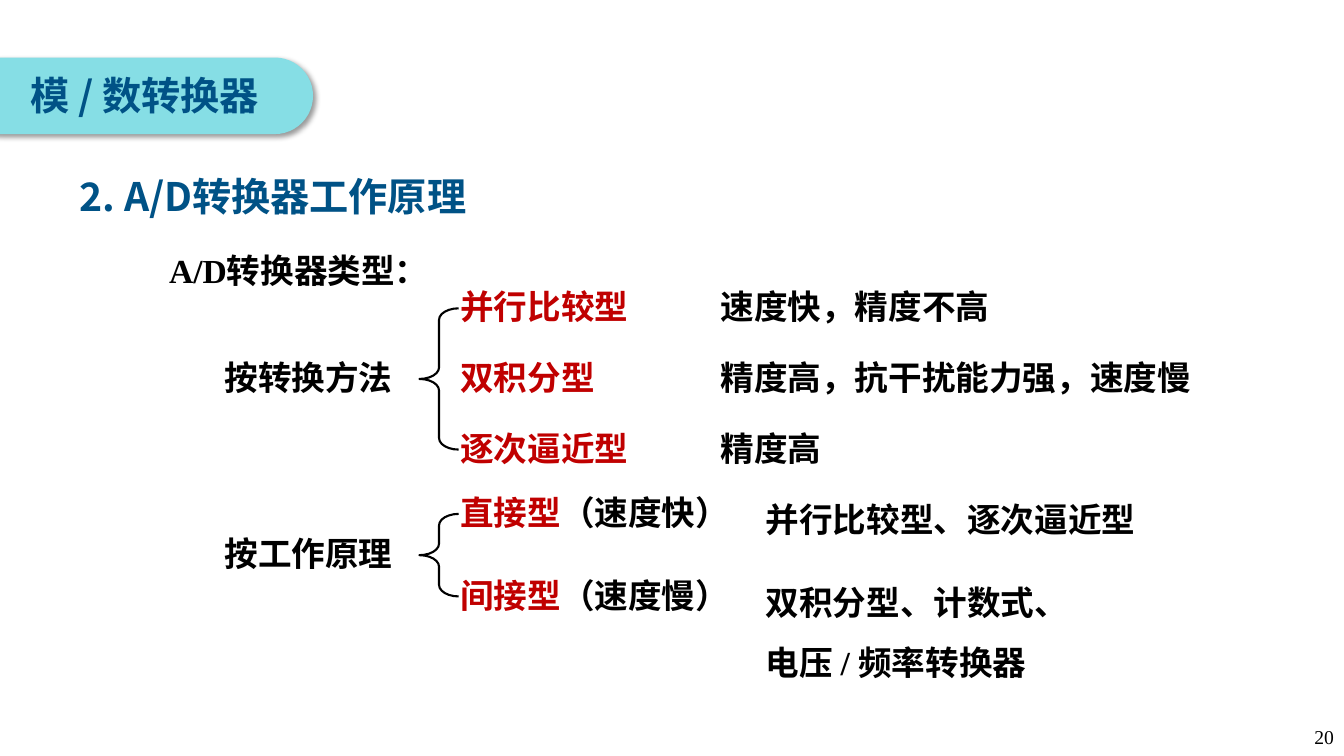
from dataclasses import dataclass
from lxml.etree import SubElement
from pptx import Presentation
from pptx.dml.color import RGBColor as Rgb
from pptx.enum.shapes import MSO_SHAPE as Kind
from pptx.enum.text import MSO_ANCHOR as Anchor, MSO_AUTO_SIZE as Auto, PP_ALIGN as Align
from pptx.oxml.ns import qn
from pptx.util import Cm, Pt


@dataclass(frozen=True)
class Theme:
    """Colours, fonts and type sizes of the slide."""
    aqua: Rgb = Rgb(0x86, 0xDE, 0xE5)
    navy: Rgb = Rgb(0x00, 0x52, 0x86)
    red: Rgb = Rgb(0xC0, 0x00, 0x00)
    black: Rgb = Rgb(0, 0, 0)
    sans: str = "Noto Sans CJK SC"
    serif: str = "Times New Roman"
    head: int = 28
    body: int = 24
    foot: int = 14


look = Theme()


def style(font, name, tone):
    """Set the Latin and East Asian fonts and the colour."""
    font.color.rgb = tone
    font.name = name
    SubElement(font._element, qn("a:ea"), typeface=look.sans)


def fill(shape, runs, size, bold=True, wrap=True, lead=None):
    """Write one paragraph made of (text, font, colour) runs."""
    frame = shape.text_frame
    frame.word_wrap = wrap
    frame.auto_size = Auto.SHAPE_TO_FIT_TEXT
    frame.vertical_anchor = Anchor.TOP
    para = frame.paragraphs[0]
    para.alignment = Align.LEFT
    if lead:
        para.line_spacing = lead
    para.font.size = Pt(size)
    para.font.bold = bold
    for text, name, tone in runs:
        run = para.add_run()
        run.text = text
        if len(runs) > 1:
            style(run.font, name, tone)
    if len(runs) == 1:
        style(para.font, *runs[0][1:])
    return para


def label(slide, box, runs, size=look.body, **opts):
    """Add a text box at the given box."""
    return fill(slide.shapes.add_textbox(*map(Cm, box)), runs, size, **opts)


def width(text):
    """Return the box width that holds the text on one line."""
    return 0.85 * len(text) + 0.51


def banner(slide, x, y):
    """Place the title on its rounded tab."""
    tab = slide.shapes.add_shape(Kind.ROUNDED_RECTANGLE, Cm(x), Cm(y), Cm(8.86), Cm(1.93))
    tab.adjustments[0] = 0.5
    tab.fill.solid()
    tab.fill.fore_color.rgb = look.aqua
    tab.line.fill.background()
    tab.shadow.inherit = False
    glow = SubElement(tab._element.spPr.find(qn("a:effectLst")), qn("a:outerShdw"),
                      blurRad=str(Pt(4)), dist=str(Pt(3)), dir="2700000",
                      algn="tl", rotWithShape="0")
    shade = SubElement(glow, qn("a:srgbClr"), val="000000")
    SubElement(shade, qn("a:alpha"), val="40000")
    slide.shapes._spTree.insert(2, tab._element)
    title = slide.shapes.title
    title.left, title.top = Cm(x + 1.48), Cm(y + 0.23)
    title.width, title.height = Cm(21.62), Cm(1.45)
    fill(title, [("模 / 数转换器", look.sans, look.navy)], look.head)


def group(slide, x, y, step, name, rows, gap, rise=0, lead=None):
    """Draw a named brace with its kinds and their notes."""
    span = step * (len(rows) - 1)
    label(slide, (x, y + span / 2, width(name), 1.27),
          [(name, look.serif, look.black)], wrap=False)
    brace = slide.shapes.add_shape(Kind.LEFT_BRACE, Cm(x + 5.16), Cm(y + 0.68),
                                   Cm(0.99), Cm(span))
    brace.adjustments[0] = 0.294
    brace.fill.background()
    brace.line.color.rgb = look.black
    brace.line.width = Pt(1.5)
    brace.shadow.inherit = False
    for i, (kind, tail, note, wide) in enumerate(rows):
        top = y + i * step
        runs = [(kind, look.sans, look.red)]
        if tail:
            runs.append((tail, look.serif, look.black))
        label(slide, (x + 5.94, top, 8.41, 1.27), runs)
        label(slide, (x + gap, top - rise, wide or width(note), 1.27),
              [(note, look.serif, look.black)], wrap=bool(wide), lead=lead)


def number(slide, x, y):
    """Place the page number."""
    para = label(slide, (x, y, 7.62, 1.02), [("20", look.serif, look.black)],
                 look.foot, bold=False)
    para.alignment = Align.RIGHT


def main():
    """Build and save the slide."""
    deck = Presentation()
    deck.slide_width, deck.slide_height = Cm(33.87), Cm(19.05)
    slide = deck.slides.add_slide(deck.slide_layouts[5])
    banner(slide, -0.97, 1.45)
    label(slide, (1.75, 4.22, 18.85, 1.45),
          [("2. A/D转换器工作原理", look.sans, look.navy)], look.head)
    label(slide, (4.01, 5.66, 7.14, 1.6),
          [("A/D转换器类型：", look.serif, look.black)], wrap=False, lead=1.5)
    group(slide, 5.41, 7.09, 1.78, "按转换方法", [
        ("并行比较型", "", "速度快，精度不高", 0),
        ("双积分型", "", "精度高，抗干扰能力强，速度慢", 0),
        ("逐次逼近型", "", "精度高", 0),
    ], 12.5)
    group(slide, 5.41, 12.27, 2.08, "按工作原理", [
        ("直接型", "（速度快）", "并行比较型、逐次逼近型", 0),
        ("间接型", "（速度慢）", "双积分型、计数式、电压 / 频率转换器", 8.08),
    ], 13.64, rise=0.32, lead=1.5)
    number(slide, 26.25, 18.15)
    deck.save("out.pptx")


if __name__ == "__main__":
    main()
